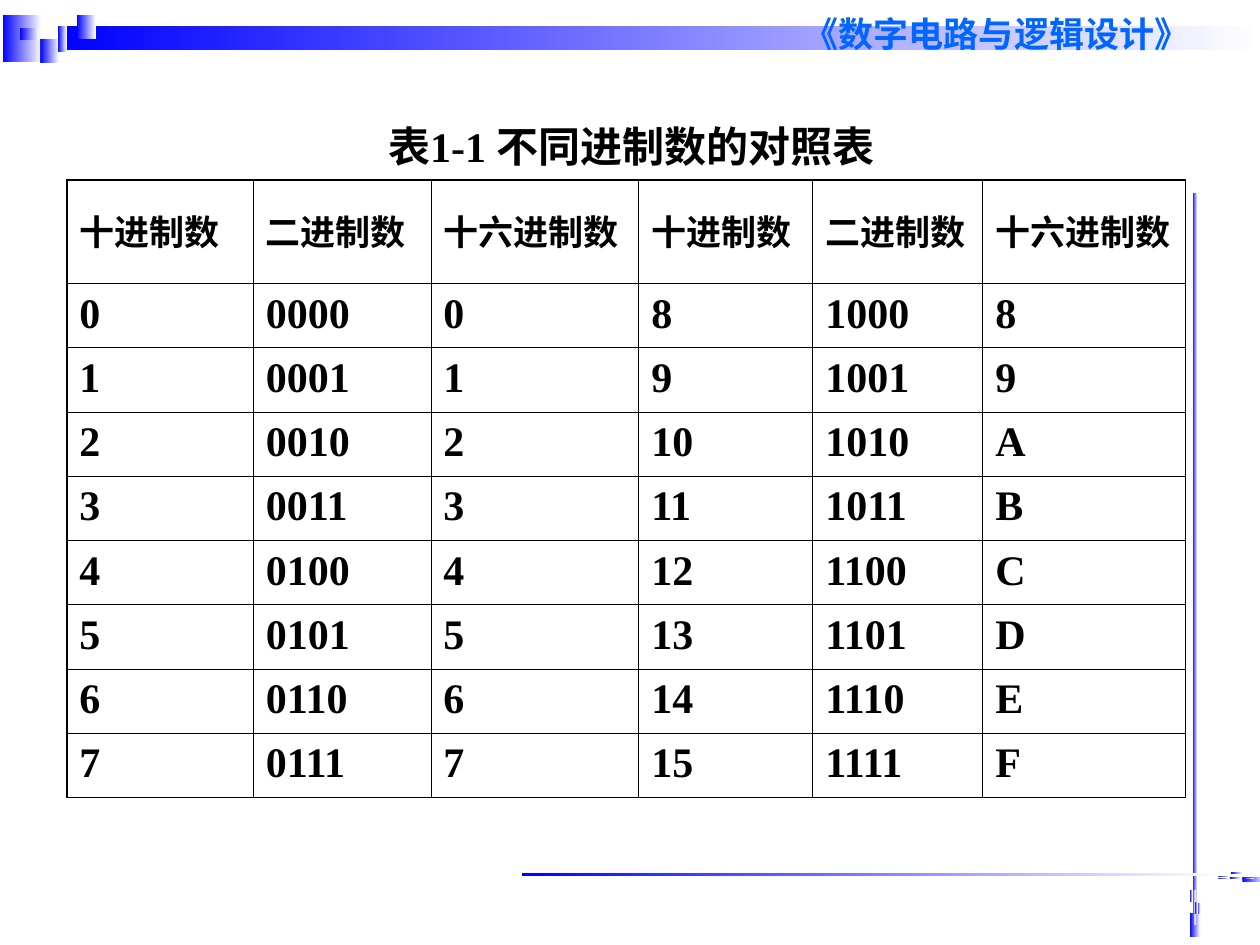
from lxml import etree
from pptx import Presentation, util as u
from pptx.dml.color import RGBColor
from pptx.enum import shapes, text
from pptx.oxml import ns

HUES = {"bar": "0000FF", "fade": "FFFFFF", "head": "0066FF", "ink": "000000"}


def style(para, size, hue, **form):
    looks = {"name": "Times New Roman", "size": u.Pt(size), "bold": True}
    for key, val in looks.items():
        setattr(para.runs[0].font, key, val)
    para.runs[0].font.color.rgb = RGBColor.from_string(HUES[hue])
    for key, val in form.items():
        setattr(para, key, val)


def edge(cell, side, width):
    line = etree.SubElement(cell._tc.get_or_add_tcPr(), ns.qn("a:ln" + side),
                            w=str(u.Pt(width)))
    fill = etree.SubElement(line, ns.qn("a:solidFill"))
    etree.SubElement(fill, ns.qn("a:srgbClr"), val=HUES["ink"])


deck = Presentation()
deck.slide_width, deck.slide_height = u.Inches(10), u.Inches(7.5)
slide = deck.slides.add_slide(deck.slide_layouts[6])

bars = {
    0: [(0.02, 0.12, 0.31, 0.37), (0.47, 0.21, 9.53, 0.19),
        (0.46, 0.21, 0.07, 0.1), (0.61, 0.12, 0.15, 0.1),
        (0.61, 0.21, 0.15, 0.1), (0.32, 0.31, 0.15, 0.1),
        (0.16, 0.22, 0.15, 0.1), (0.46, 0.31, 0.07, 0.1),
        (0.32, 0.41, 0.15, 0.09)],
    270: [(9.39, 7.3, 0.19, 0.08), (6.67, 4.33, 5.63, 0.04)]
    + [(x, y, 0.09, 0.02) for x, y in (
        (9.43, 7.19), (9.41, 7.1), (9.43, 7.1), (9.45, 7.2),
        (9.43, 7.29), (9.45, 7.19), (9.47, 7.2))],
    180: [(9.86, 6.96, 0.18, 0.04), (4.14, 6.93, 5.57, 0.02)]
    + [(x, y, 0.09, 0.01) for x, y in (
        (9.76, 6.97), (9.67, 6.95), (9.67, 6.97), (9.77, 6.93),
        (9.86, 6.97), (9.76, 6.96), (9.77, 6.92))],
}
for turn, boxes in bars.items():
    for box in boxes:
        bar = slide.shapes.add_shape(shapes.MSO_SHAPE.RECTANGLE, *map(u.Inches, box))
        bar.rotation = turn
        bar.shadow.inherit = False
        bar.line.fill.background()
        bar.fill.gradient()
        bar.fill.gradient_angle = 0
        for stop, hue in zip(bar.fill.gradient_stops, ("bar", "fade")):
            stop.color.rgb = RGBColor.from_string(HUES[hue])
        bar._element.spPr.find(ns.qn("a:gradFill")).set("rotWithShape", "0")

heads = ["十进制数", "二进制数", "十六进制数"] * 2
rows = [heads] + [[f(n) for n in (low, low + 8) for f in (str, "{:04b}".format, "{:X}".format)]
                  for low in range(8)]
wide = [1.48, 1.41, 1.65, 1.38, 1.35, 1.61]
tall = [0.82] + [0.51] * 8
grid = slide.shapes.add_table(len(rows), len(wide), *map(u.Inches, (0.53, 1.43, 8.88, 4.91))).table
for flag in ("first_row", "horz_banding"):
    setattr(grid, flag, False)
for col, size in zip(grid.columns, wide):
    col.width = u.Inches(size)
for row, size in zip(grid.rows, tall):
    row.height = u.Inches(size)
for r, row in enumerate(rows):
    for c, word in enumerate(row):
        cell = grid.cell(r, c)
        cell.text = word
        cell.vertical_anchor = text.MSO_ANCHOR.MIDDLE
        style(cell.text_frame.paragraphs[0], 24 if r else 20, "ink",
              line_spacing=0.9, space_before=u.Pt(6 if r else 5))
        rims = {"L": c == 0, "R": c == len(wide) - 1, "T": r == 0, "B": r == len(rows) - 1}
        for side, rim in rims.items():
            edge(cell, side, 1.08 if rim else 0.45)
        cell.fill.background()

notes = [
    ("《数字电路与逻辑设计》", (6.18, 0.05, 3.46, 0.44), 20, "head"),
    ("表1-1 不同进制数的对照表", (0.59, 0.91, 8.84, 0.5), 24, "ink"),
]
for word, box, size, hue in notes:
    frame = slide.shapes.add_textbox(*map(u.Inches, box)).text_frame
    frame.text = word
    frame.word_wrap = True
    frame.auto_size = text.MSO_AUTO_SIZE.SHAPE_TO_FIT_TEXT
    style(frame.paragraphs[0], size, hue, alignment=text.PP_ALIGN.CENTER)

deck.save("out.pptx")
